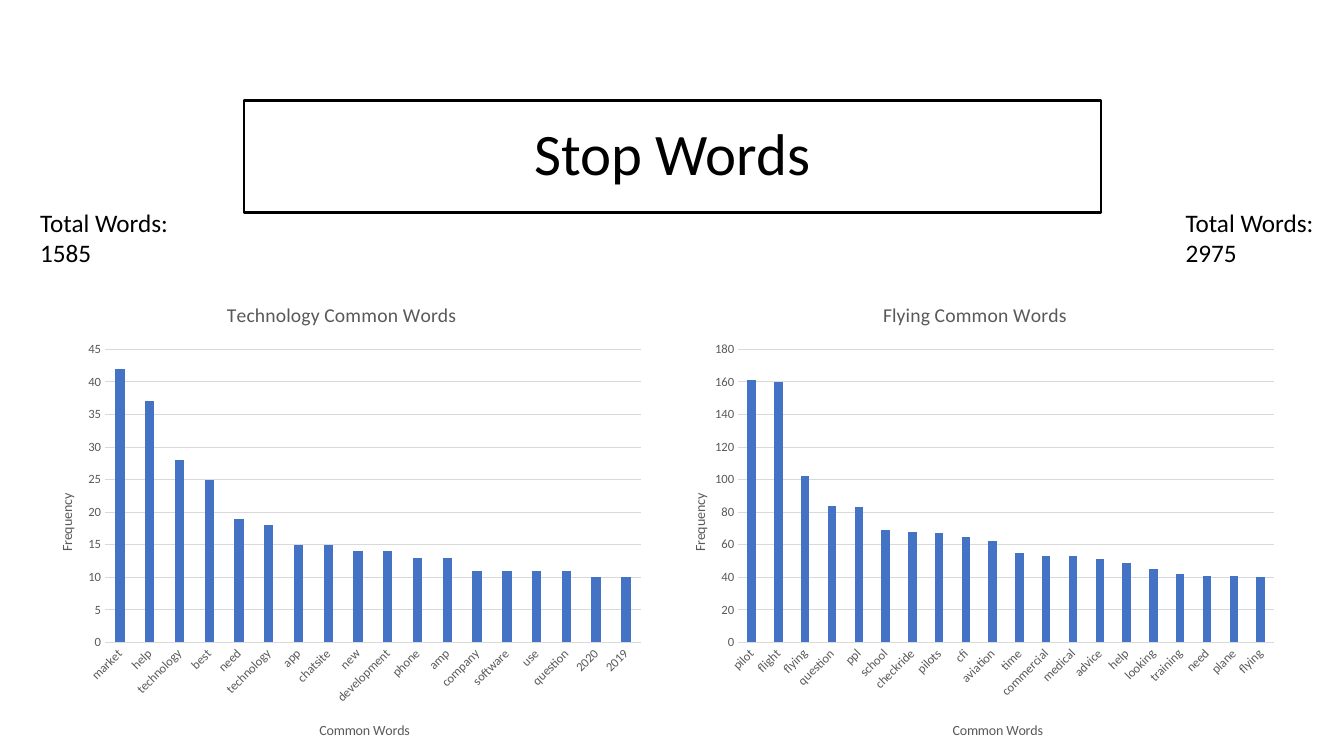
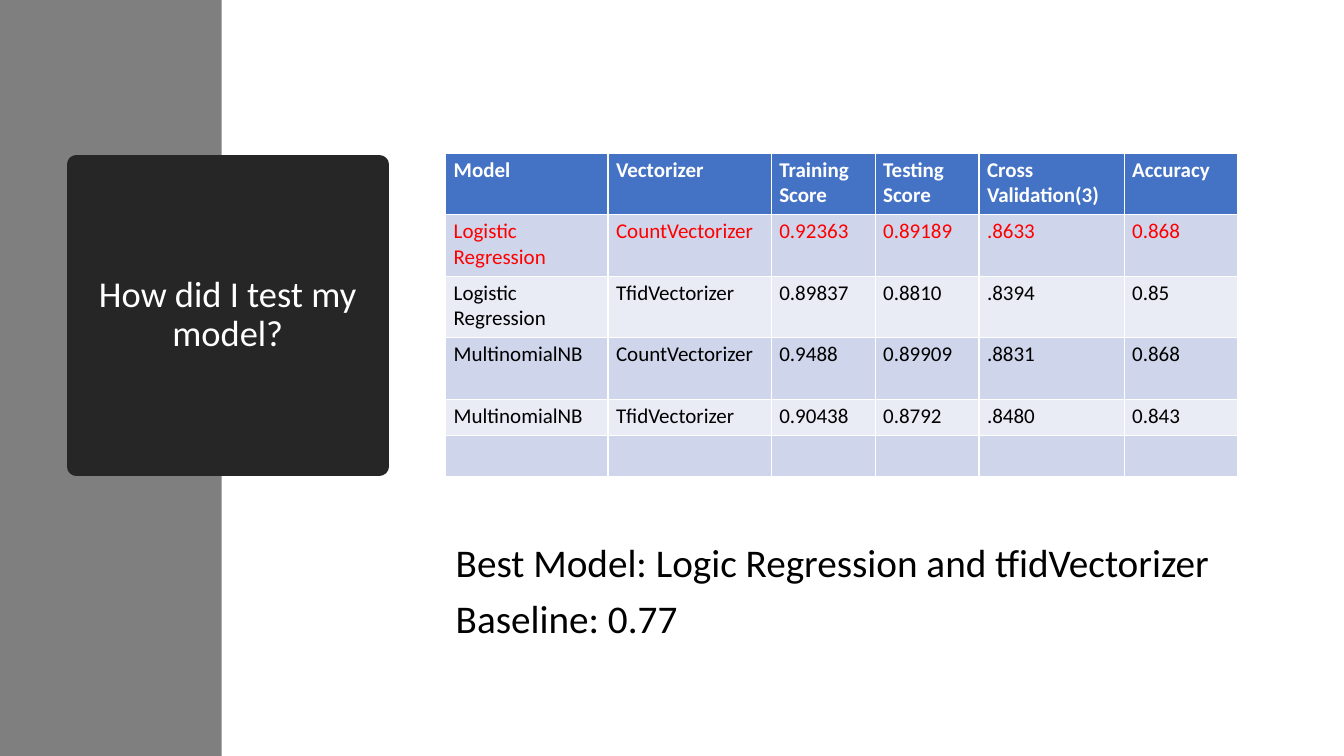
from dataclasses import dataclass
from typing import Any, NamedTuple, Optional

from lxml.etree import SubElement
from pptx import Presentation
from pptx.chart.data import CategoryChartData
from pptx.dml.color import RGBColor
from pptx.enum.chart import XL_CHART_TYPE, XL_TICK_MARK
from pptx.enum.shapes import MSO_SHAPE
from pptx.enum.text import MSO_ANCHOR, MSO_AUTO_SIZE, PP_ALIGN
from pptx.oxml.ns import qn
from pptx.util import Inches, Pt


@dataclass(frozen=True)
class Theme:
    font: str = "Calibri"
    black: str = "000000"
    white: str = "FFFFFF"
    panel: str = "262626"
    band: str = "7F7F7F"
    accent: str = "4472C4"
    stripe_dark: str = "CFD5EA"
    stripe_light: str = "E9EBF5"
    highlight: str = "FF0000"
    chart_text: str = "595959"
    grid: str = "D9D9D9"
    title_size: float = 42
    panel_title_size: float = 26
    body_size: float = 28
    total_size: float = 18
    table_size: float = 15
    chart_title_size: float = 14
    axis_title_size: float = 10
    tick_size: float = 9
    line_spacing: float = 0.9


THEME = Theme()


class Box(NamedTuple):
    left: float
    top: float
    width: float
    height: float

    def lengths(self) -> list:
        return [Inches(value) for value in self]


@dataclass(frozen=True)
class TitleStyle:
    box: Box
    size: float
    color: str
    fill: str
    outline: str
    outline_width: float


@dataclass(frozen=True)
class WordChart:
    heading: str
    left: float
    maximum: int
    step: int
    counts: list[tuple[str, int]]


@dataclass(frozen=True)
class WordTotal:
    lines: list[str]
    box: Box
    wrap: bool


BOXED_TITLE = TitleStyle(Box(2.42, 1, 8.5, 1.11), THEME.title_size,
                         THEME.black, THEME.white, THEME.black, 2)
PANEL_TITLE = TitleStyle(Box(0.76, 1.63, 3, 3), THEME.panel_title_size,
                         THEME.white, THEME.panel, THEME.panel, 13.75)

WORD_CHARTS = [
    WordChart("Flying Common Words", 6.58, 180, 20, [
        ("pilot", 161), ("flight", 160), ("flying", 102), ("question", 84),
        ("ppl", 83), ("school", 69), ("checkride", 68), ("pilots", 67),
        ("cfi", 65), ("aviation", 62), ("time", 55), ("commercial", 53),
        ("medical", 53), ("advice", 51), ("help", 49), ("looking", 45),
        ("training", 42), ("need", 41), ("plane", 41), ("flying", 40)]),
    WordChart("Technology Common Words", 0.3, 45, 5, [
        ("market", 42), ("help", 37), ("technology", 28), ("best", 25),
        ("need", 19), ("technology", 18), ("app", 15), ("chatsite", 15),
        ("new", 14), ("development", 14), ("phone", 13), ("amp", 13),
        ("company", 11), ("software", 11), ("use", 11), ("question", 11),
        ("2020", 10), ("2019", 10)]),
]

WORD_TOTALS = [
    WordTotal(["Total Words: 1585"], Box(0.3, 2.01, 1.76, 0.71), True),
    WordTotal(["Total Words:", "2975"], Box(11.66, 2.01, 1.48, 0.71), False),
]

SCORES_BOX = Box(4.42, 1.52, 7.86, 3.22)
SCORE_WIDTHS = [1.61, 1.62, 1.03, 1.03, 1.44, 1.13]
SCORE_HEIGHTS = [0.61, 0.61, 0.61, 0.61, 0.36, 0.41]
SCORES = [
    ["Model", "Vectorizer", "Training Score", "Testing Score",
     "Cross Validation(3)", "Accuracy"],
    ["Logistic Regression", "CountVectorizer", "0.92363", "0.89189", ".8633", "0.868"],
    ["Logistic Regression", "TfidVectorizer", "0.89837", "0.8810", ".8394", "0.85"],
    ["MultinomialNB", "CountVectorizer", "0.9488", "0.89909", ".8831", "0.868"],
    ["MultinomialNB", "TfidVectorizer", "0.90438", "0.8792", ".8480", "0.843"],
    [""] * len(SCORE_WIDTHS),
]
BEST_ROW = 1


def assign(target: Any, values: dict[str, Any]) -> None:
    for name, value in values.items():
        setattr(target, name, value)


def set_font(font: Any, size: float, color: str, bold: bool = False) -> None:
    assign(font, {"name": THEME.font, "size": Pt(size), "bold": bold})
    font.color.rgb = RGBColor.from_string(color)


def set_fill(fill: Any, color: str) -> None:
    fill.solid()
    fill.fore_color.rgb = RGBColor.from_string(color)


def set_line(line: Any, color: str, width: float) -> None:
    set_fill(line.fill, color)
    line.width = Pt(width)


def place(shape: Any, box: Box) -> None:
    assign(shape, dict(zip(("left", "top", "width", "height"), box.lengths())))


def write_lines(frame: Any, lines: list[str], size: float, color: str,
                **paragraph_format: Any) -> None:
    for index, line in enumerate(lines):
        paragraph = frame.paragraphs[0] if index == 0 else frame.add_paragraph()
        assign(paragraph, paragraph_format)
        run = paragraph.add_run()
        run.text = line
        set_font(run.font, size, color)


def add_title(slide: Any, text: str, style: TitleStyle) -> None:
    title = slide.shapes.title
    place(title, style.box)
    set_fill(title.fill, style.fill)
    set_line(title.line, style.outline, style.outline_width)
    assign(title.text_frame, {"word_wrap": True, "auto_size": MSO_AUTO_SIZE.NONE,
                              "vertical_anchor": MSO_ANCHOR.MIDDLE})
    write_lines(title.text_frame, [text], style.size, style.color,
                alignment=PP_ALIGN.CENTER, line_spacing=THEME.line_spacing)


def set_layout(parent: Any, index: int, **fractions: float) -> None:
    """Fix a chart part at fractions of the chart area."""
    for old in parent.findall(qn("c:layout")):
        parent.remove(old)
    layout = SubElement(parent, qn("c:layout"))
    parent.insert(index, layout)
    manual = SubElement(layout, qn("c:manualLayout"))
    if "w" in fractions:
        SubElement(manual, qn("c:layoutTarget")).set("val", "inner")
    for mode in ("xMode", "yMode"):
        SubElement(manual, qn(f"c:{mode}")).set("val", "edge")
    for name, value in fractions.items():
        SubElement(manual, qn(f"c:{name}")).set("val", str(value))


def rotate_text(parent: Any, degrees: int) -> None:
    body = next(parent.iter(qn("a:bodyPr")))
    body.set("rot", str(degrees * 60000))
    body.set("vert", "horz")


def format_axis(axis: Any, heading: str, x: float, y: float) -> None:
    assign(axis, {"major_tick_mark": XL_TICK_MARK.NONE,
                  "minor_tick_mark": XL_TICK_MARK.NONE, "has_title": True})
    set_font(axis.tick_labels.font, THEME.tick_size, THEME.chart_text)
    write_lines(axis.axis_title.text_frame, [heading],
                THEME.axis_title_size, THEME.chart_text)
    set_layout(axis.axis_title._element, 1, x=x, y=y)


def add_word_chart(slide: Any, words: WordChart) -> None:
    data = CategoryChartData()
    data.categories = [word for word, _ in words.counts]
    data.add_series("Series 1", [count for _, count in words.counts])
    box = Box(words.left, 2.81, 6.18, 4.69)
    chart = slide.shapes.add_chart(
        XL_CHART_TYPE.COLUMN_CLUSTERED, *box.lengths(), data).chart
    set_font(chart.font, THEME.axis_title_size, THEME.black)
    assign(chart, {"has_legend": False, "has_title": True})
    write_lines(chart.chart_title.text_frame, [words.heading],
                THEME.chart_title_size, THEME.chart_text)

    plot = chart.plots[0]
    assign(plot, {"gap_width": 219, "overlap": -27, "vary_by_categories": False})
    set_fill(plot.series[0].format.fill, THEME.accent)
    set_layout(chart._chartSpace.chart.plotArea, 0, x=0.12, y=0.14, w=0.86, h=0.62)

    word_axis, frequency_axis = chart.category_axis, chart.value_axis
    format_axis(word_axis, "Common Words", 0.46, 0.92)
    format_axis(frequency_axis, "Frequency", 0.04, 0.44)
    rotate_text(word_axis._element.find(qn("c:txPr")), -45)
    rotate_text(frequency_axis.axis_title._element, -90)
    set_line(word_axis.format.line, THEME.grid, 0.75)
    frequency_axis.format.line.fill.background()
    assign(frequency_axis, {"minimum_scale": 0, "maximum_scale": words.maximum,
                            "major_unit": words.step, "has_major_gridlines": True})
    set_line(frequency_axis.major_gridlines.format.line, THEME.grid, 0.75)


def add_total(slide: Any, total: WordTotal) -> None:
    frame = slide.shapes.add_textbox(*total.box.lengths()).text_frame
    assign(frame, {"word_wrap": total.wrap,
                   "auto_size": MSO_AUTO_SIZE.SHAPE_TO_FIT_TEXT})
    write_lines(frame, total.lines, THEME.total_size, THEME.black)


def row_colors(row: int) -> tuple[str, str]:
    """Return the fill and text colours of a score row."""
    if row == 0:
        return THEME.accent, THEME.white
    stripe = THEME.stripe_dark if row % 2 else THEME.stripe_light
    return stripe, THEME.highlight if row == BEST_ROW else THEME.black


def add_scores(slide: Any) -> None:
    table = slide.shapes.add_table(
        len(SCORES), len(SCORE_WIDTHS), *SCORES_BOX.lengths()).table
    for column, width in zip(table.columns, SCORE_WIDTHS):
        column.width = Inches(width)
    margins = {"margin_left": Inches(0.08), "margin_right": Inches(0.08),
               "margin_top": Inches(0.04), "margin_bottom": Inches(0.04)}
    for index, (scores, height) in enumerate(zip(SCORES, SCORE_HEIGHTS)):
        table.rows[index].height = Inches(height)
        fill, color = row_colors(index)
        for cell, text in zip(table.rows[index].cells, scores):
            assign(cell, margins)
            set_fill(cell.fill, fill)
            cell.text = text
            set_font(cell.text_frame.paragraphs[0].font, THEME.table_size,
                     color, bold=index == 0)


def add_conclusion(slide: Any, lines: list[str]) -> None:
    body = slide.placeholders[1]
    place(body, Box(4.42, 5.34, 7.86, 1.41))
    frame = body.text_frame
    assign(frame, {"word_wrap": True, "auto_size": MSO_AUTO_SIZE.NONE})
    write_lines(frame, lines, THEME.body_size, THEME.black,
                line_spacing=THEME.line_spacing, space_before=Pt(10))
    frame.paragraphs[0].space_before = Pt(0)
    for paragraph in frame.paragraphs:
        properties = paragraph._p.get_or_add_pPr()
        properties.set("marL", "0")
        properties.set("indent", "0")
        SubElement(properties, qn("a:buNone"))


def add_side_band(slide: Any) -> None:
    band = slide.shapes.add_shape(MSO_SHAPE.RECTANGLE, *Box(0, 0, 2.2, 7.5).lengths())
    band.shadow.inherit = False
    set_fill(band.fill, THEME.band)
    band.line.fill.background()
    slide.shapes._spTree.insert(2, band._element)


def main() -> None:
    deck = Presentation()
    assign(deck, {"slide_width": Inches(13.33), "slide_height": Inches(7.5)})

    stop_words = deck.slides.add_slide(deck.slide_layouts[5])
    add_title(stop_words, "Stop Words", BOXED_TITLE)
    for words in WORD_CHARTS:
        add_word_chart(stop_words, words)
    for total in WORD_TOTALS:
        add_total(stop_words, total)

    model_test = deck.slides.add_slide(deck.slide_layouts[1])
    add_side_band(model_test)
    add_title(model_test, "How did I test my model?", PANEL_TITLE)
    SubElement(model_test.shapes.title.line._ln, qn("a:round"))
    add_conclusion(model_test, ["Best Model: Logic Regression and tfidVectorizer",
                                "Baseline: 0.77"])
    add_scores(model_test)

    deck.save("out.pptx")


if __name__ == "__main__":
    main()
